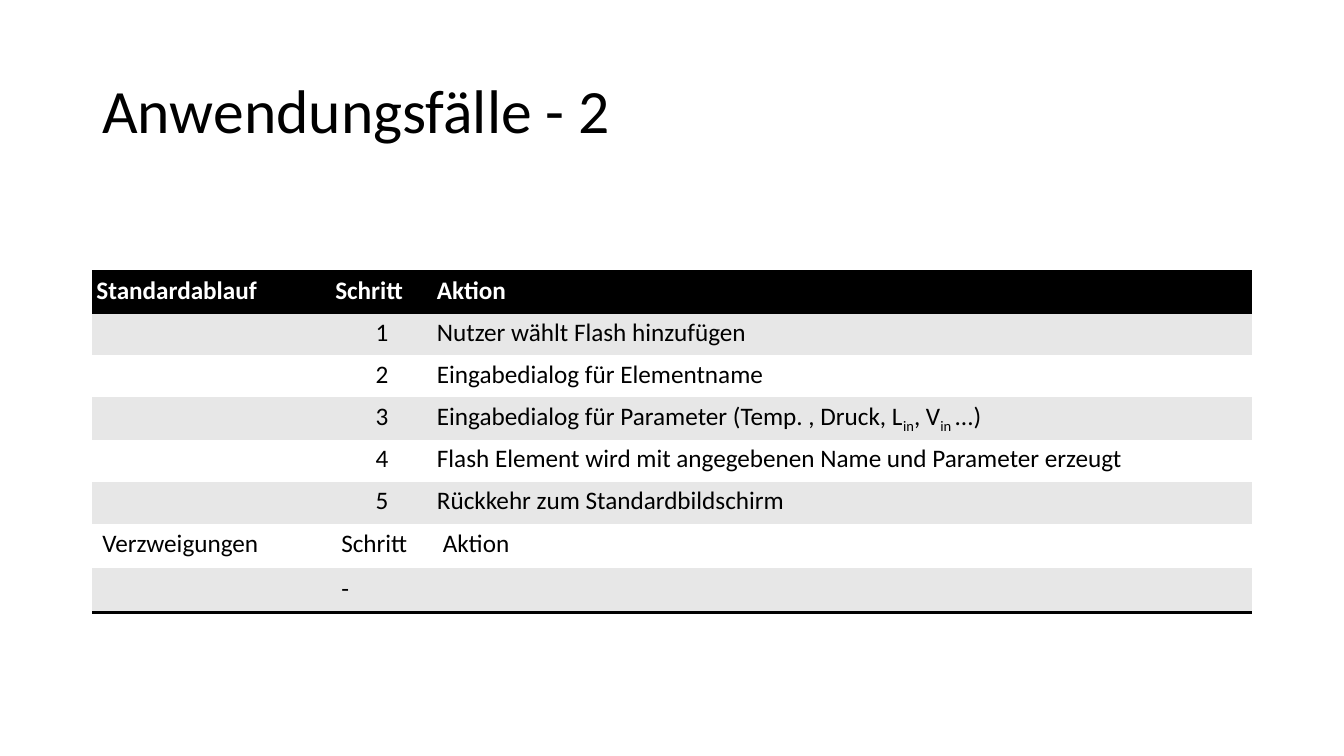
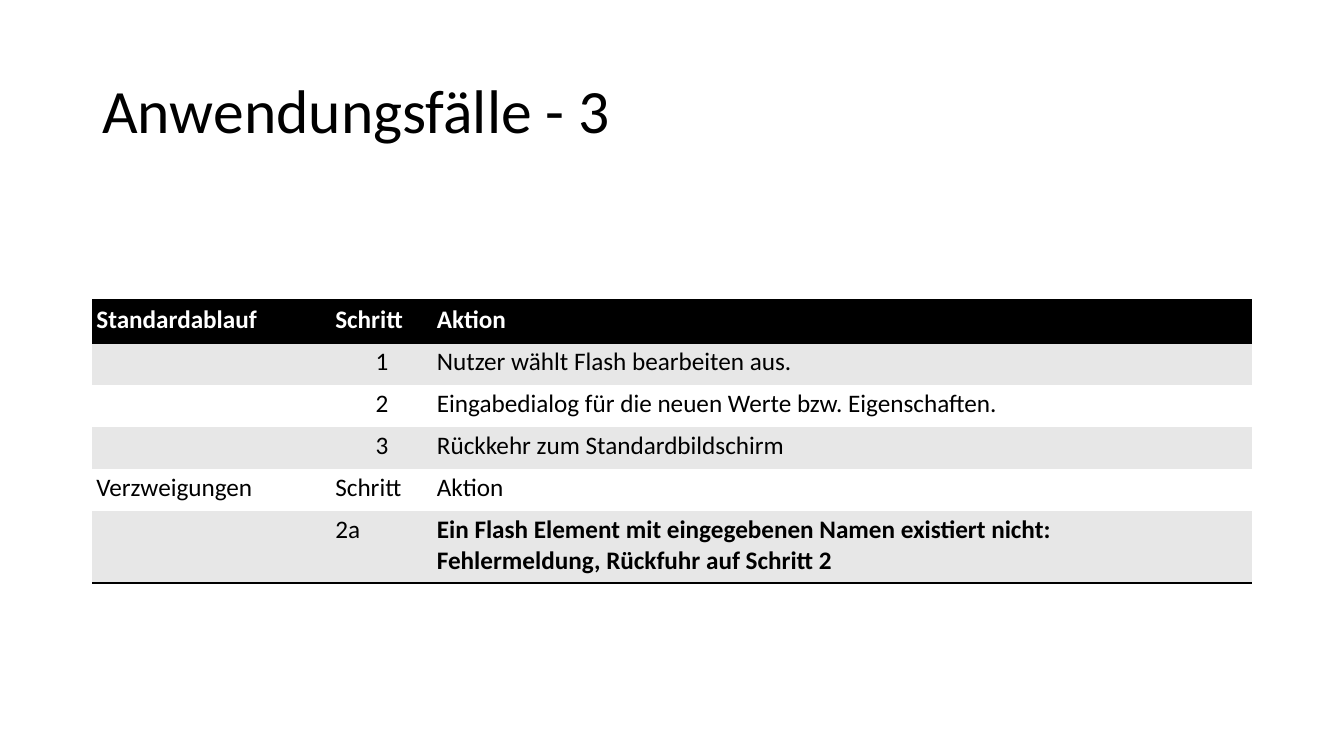
from lxml import etree
from pptx import Presentation
from pptx import util as u
from pptx.dml.color import RGBColor
from pptx.enum import text as t
from pptx.oxml import ns

HUES = {"ink": "000000", "paper": "FFFFFF", "band": "E7E7E7"}
FONT = "Calibri"
PLAIN = "{2D5ABB26-0587-4C30-8999-92F81FD0307C}"
LEFT, WIDTH = 2.33, 29.21
COLS = (6.02, 2.56, 20.63)
ROW, TALL = 1.06, 1.12
TIGHT, LOOSE = (0.1, 0.1), (0.25, 0.13)
HEAD = ("Standardablauf", "Schritt", "Aktion")
FORK = ("Verzweigungen", "Schritt", "Aktion")


def hue(name):
    return RGBColor.from_string(HUES[name])


def write(frame, words, size=18, color="ink", bold=False, align=t.PP_ALIGN.LEFT, space=1.0):
    for i, line in enumerate(words.split("\n")):
        para = frame.add_paragraph() if i else frame.paragraphs[0]
        para.alignment, para.line_spacing = align, space
        for j, part in enumerate(line.split("_")):
            run = para.add_run()
            run.text = part
            font = run.font
            font.name, font.size, font.bold = FONT, u.Pt(size), bold
            font.color.rgb = hue(color)
            if j % 2:
                run._r.get_or_add_rPr().set("baseline", "-25000")


class Deck:
    def __init__(self):
        self.show = Presentation()
        self.show.slide_width, self.show.slide_height = u.Cm(33.87), u.Cm(19.05)
        self.slide = None

    def page(self, title):
        self.slide = self.show.slides.add_slide(self.show.slide_layouts[6])
        box = self.slide.shapes.add_textbox(u.Cm(LEFT), u.Cm(1.01), u.Cm(WIDTH), u.Cm(3.68))
        frame = box.text_frame
        frame.word_wrap = True
        frame.vertical_anchor = t.MSO_ANCHOR.MIDDLE
        write(frame, title, size=44, space=0.9)

    def edge(self, cell, side):
        line = etree.SubElement(cell._tc.get_or_add_tcPr(), ns.qn("a:ln" + side), w=str(u.Pt(2)))
        fill = etree.SubElement(line, ns.qn("a:solidFill"))
        etree.SubElement(fill, ns.qn("a:srgbClr"), val=HUES["ink"])

    def cell(self, cell, words, fill, pad, edges, **style):
        for side in edges:
            self.edge(cell, side)
        cell.fill.solid()
        cell.fill.fore_color.rgb = hue(fill)
        if words:
            cell.margin_left = cell.margin_right = u.Cm(pad[0])
            cell.margin_top = cell.margin_bottom = u.Cm(pad[1])
            write(cell.text_frame, words, **style)

    def table(self, top, steps, forks, tall, pad=TIGHT):
        rows = [HEAD]
        rows += [("", str(i), step) for i, step in enumerate(steps, 1)]
        rows += [FORK, *forks]
        split = len(steps) + 1
        highs = [ROW] * split + tall
        grid = self.slide.shapes.add_table(
            len(rows), len(COLS), u.Cm(LEFT), u.Cm(top), u.Cm(WIDTH), u.Cm(sum(highs))).table
        grid._tbl.tblPr.find(ns.qn("a:tableStyleId")).text = PLAIN
        grid.first_row = grid.horz_banding = False
        for col, wide in zip(grid.columns, COLS):
            col.width = u.Cm(wide)
        for r, (row, high) in enumerate(zip(rows, highs)):
            grid.rows[r].height = u.Cm(high)
            head, last = r == 0, r == len(rows) - 1
            fill = "ink" if head else "band" if r % 2 else "paper"
            for c, words in enumerate(row):
                mid = c == 1 and 0 < r < split
                self.cell(grid.cell(r, c), words, fill,
                          pad if r >= split else TIGHT,
                          "TB" if head else "B" if last else "",
                          color="paper" if head else "ink",
                          bold=head or (last and c == 2),
                          align=t.PP_ALIGN.CENTER if mid else t.PP_ALIGN.LEFT)


deck = Deck()
deck.page("Anwendungsfälle - 2")
deck.table(6.83, [
    "Nutzer wählt Flash hinzufügen",
    "Eingabedialog für Elementname",
    "Eingabedialog für Parameter (Temp. , Druck, L_in_, V_in _...)",
    "Flash Element wird mit angegebenen Name und Parameter erzeugt",
    "Rückkehr zum Standardbildschirm",
], [("", "-", "")], [TALL, TALL], LOOSE)

deck.page("Anwendungsfälle - 3")
deck.table(7.57, [
    "Nutzer wählt Flash bearbeiten aus.",
    "Eingabedialog für die neuen Werte bzw. Eigenschaften.",
    "Rückkehr zum Standardbildschirm",
], [("", "2a", "Ein Flash Element mit eingegebenen Namen existiert nicht:\n"
     "Fehlermeldung, Rückfuhr auf Schritt 2")], [ROW, 1.82])

deck.show.save("out.pptx")
